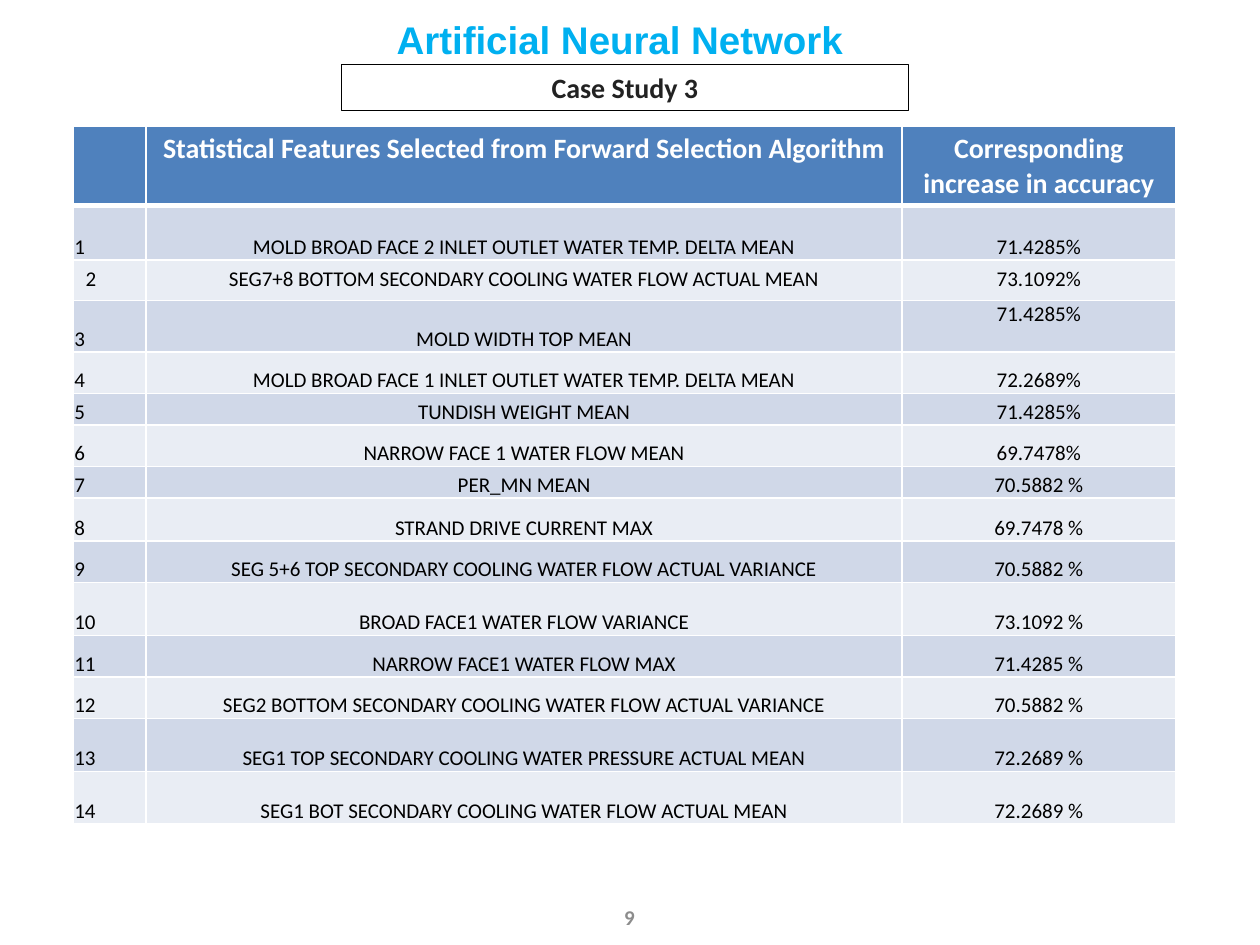
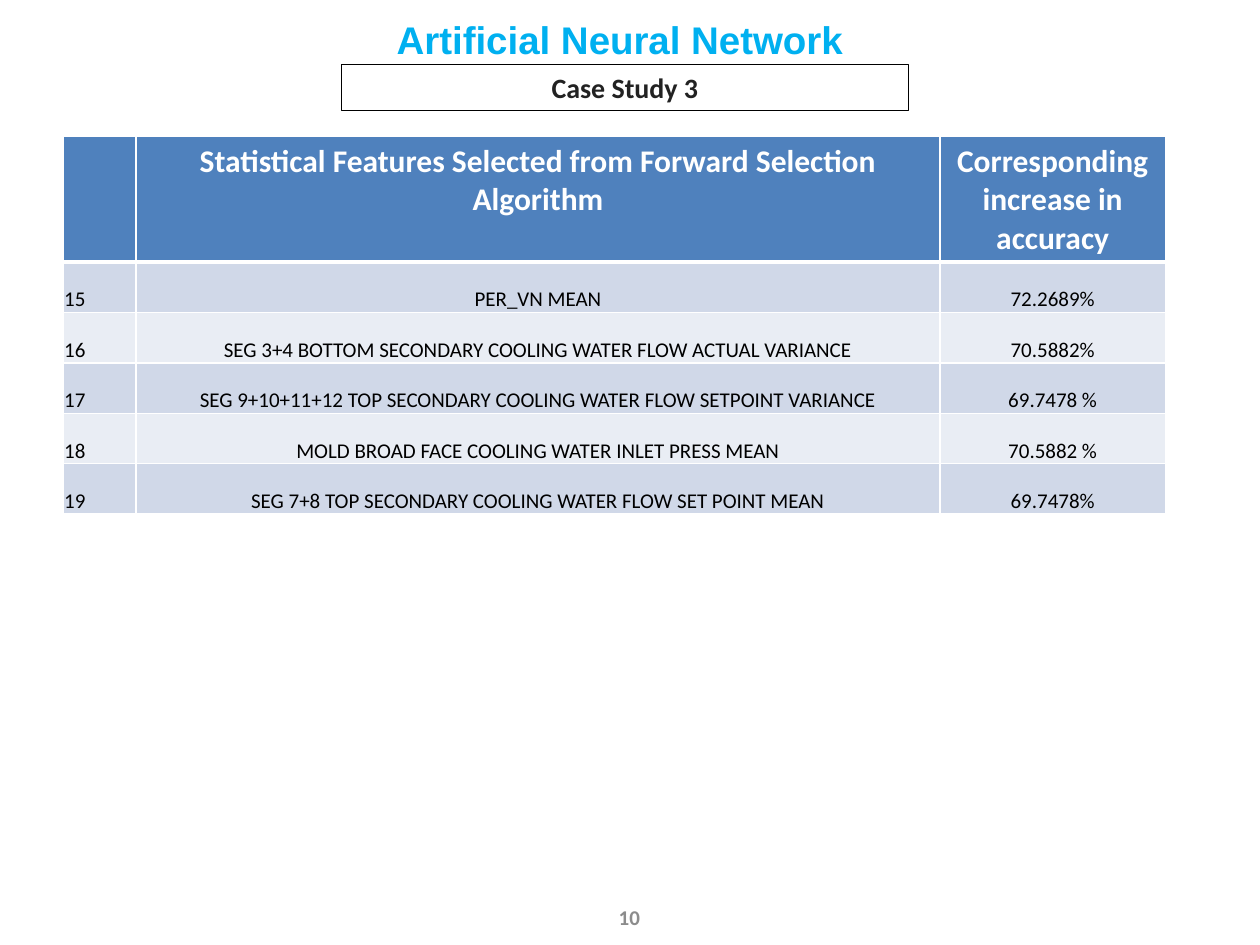
from dataclasses import dataclass

from lxml.etree import SubElement
from pptx import Presentation
from pptx.dml.color import RGBColor
from pptx.enum.shapes import MSO_SHAPE
from pptx.enum.text import MSO_ANCHOR, MSO_AUTO_SIZE, PP_ALIGN
from pptx.oxml.ns import qn
from pptx.util import Inches, Pt

TITLE = "Artificial Neural Network"
SUBTITLE = "Case Study 3"
HEADINGS = (
    "",
    "Statistical Features Selected from Forward Selection Algorithm",
    "Corresponding increase in accuracy",
)

PAGES = [
    {
        "number": 9,
        "first_feature": 1,
        "origin": (0.58, 1),
        "column_widths": (0.58, 6, 2.17),
        "heading_height": 0.58,
        "heading_size": 16,
        "padded_rows": {2},
        "top_values": {3},
        "features": [
            ("MOLD BROAD FACE 2 INLET OUTLET WATER TEMP. DELTA MEAN", "71.4285%", 0.43),
            ("SEG7+8 BOTTOM SECONDARY COOLING WATER FLOW ACTUAL MEAN", "73.1092%", 0.32),
            ("MOLD WIDTH TOP MEAN", "71.4285%", 0.41),
            ("MOLD BROAD FACE 1 INLET OUTLET WATER TEMP. DELTA MEAN", "72.2689%", 0.33),
            ("TUNDISH WEIGHT MEAN", "71.4285%", 0.25),
            ("NARROW FACE 1 WATER FLOW MEAN", "69.7478%", 0.33),
            ("PER_MN MEAN", "70.5882 %", 0.25),
            ("STRAND DRIVE CURRENT MAX", "69.7478 %", 0.34),
            ("SEG 5+6 TOP SECONDARY COOLING WATER FLOW ACTUAL VARIANCE", "70.5882 %", 0.33),
            ("BROAD FACE1 WATER FLOW VARIANCE", "73.1092 %", 0.42),
            ("NARROW FACE1 WATER FLOW MAX", "71.4285 %", 0.33),
            ("SEG2 BOTTOM SECONDARY COOLING WATER FLOW ACTUAL VARIANCE", "70.5882 %", 0.33),
            ("SEG1 TOP SECONDARY COOLING WATER PRESSURE ACTUAL MEAN", "72.2689 %", 0.42),
            ("SEG1 BOT SECONDARY COOLING WATER FLOW ACTUAL MEAN", "72.2689 %", 0.42),
        ],
    },
    {
        "number": 10,
        "first_feature": 15,
        "origin": (0.5, 1.08),
        "column_widths": (0.58, 6.38, 1.79),
        "heading_height": 0.96,
        "heading_size": 18,
        "padded_rows": set(),
        "top_values": set(),
        "features": [
            ("PER_VN MEAN", "72.2689%", 0.4),
            ("SEG 3+4 BOTTOM SECONDARY COOLING WATER FLOW ACTUAL VARIANCE", "70.5882%", 0.4),
            ("SEG 9+10+11+12 TOP SECONDARY COOLING WATER FLOW SETPOINT VARIANCE", "69.7478 %", 0.4),
            ("MOLD BROAD FACE COOLING WATER INLET PRESS MEAN", "70.5882 %", 0.4),
            ("SEG 7+8 TOP SECONDARY COOLING WATER FLOW SET POINT MEAN", "69.7478%", 0.4),
        ],
    },
]


@dataclass(frozen=True)
class Theme:
    title_font: str = "Arial"
    body_font: str = "Calibri"
    title: str = "00B0F0"
    subtitle: str = "222222"
    page_number: str = "8C8C8C"
    heading_fill: str = "4F81BD"
    band_fills: tuple = ("D0D8E8", "E9EDF4")
    white: str = "FFFFFF"
    black: str = "000000"
    title_size: int = 22
    subtitle_size: int = 16
    body_size: int = 12


THEME = Theme()


def color(value):
    return RGBColor.from_string(value)


def write(frame, text, size, ink, bold=True, align=PP_ALIGN.CENTER, font=THEME.body_font):
    paragraph = frame.paragraphs[0]
    paragraph.text = text
    paragraph.alignment = align
    paragraph.font.name = font
    paragraph.font.size = Pt(size)
    paragraph.font.bold = bold
    paragraph.font.color.rgb = color(ink)


def add_text_box(slide, box):
    frame = slide.shapes.add_textbox(*map(Inches, box)).text_frame
    frame.word_wrap = True
    return frame


def add_frame(slide, number):
    page_frame = add_text_box(slide, (4.65, 7.08, 0.69, 0.4))
    page_frame.vertical_anchor = MSO_ANCHOR.MIDDLE
    write(page_frame, str(number), THEME.body_size, THEME.page_number)

    title_frame = add_text_box(slide, (3.05, 0.08, 4.58, 0.27))
    title_frame.auto_size = MSO_AUTO_SIZE.SHAPE_TO_FIT_TEXT
    write(title_frame, TITLE, THEME.title_size, THEME.title,
          align=PP_ALIGN.LEFT, font=THEME.title_font)

    shape = slide.shapes.add_shape(
        MSO_SHAPE.RECTANGLE, *map(Inches, (2.71, 0.51, 4.5, 0.37)))
    shape.shadow.inherit = False
    shape.fill.background()
    shape.line.color.rgb = color(THEME.black)
    shape.line.width = Pt(0.75)
    shape.text_frame.word_wrap = True
    shape.text_frame.vertical_anchor = MSO_ANCHOR.TOP
    shape.text_frame.auto_size = MSO_AUTO_SIZE.SHAPE_TO_FIT_TEXT
    write(shape.text_frame, SUBTITLE, THEME.subtitle_size, THEME.subtitle)


def paint_cell(cell, fill, top_width=1, bottom_width=1):
    properties = cell._tc.get_or_add_tcPr()
    for side, width in (("L", 1), ("R", 1), ("T", top_width), ("B", bottom_width)):
        line = SubElement(properties, qn(f"a:ln{side}"), w=str(Pt(width)))
        solid = SubElement(line, qn("a:solidFill"))
        SubElement(solid, qn("a:srgbClr"), val=THEME.white)
    cell.fill.solid()
    cell.fill.fore_color.rgb = color(fill)


def add_feature_table(slide, page):
    features = page["features"]
    widths = page["column_widths"]
    heights = [page["heading_height"]] + [height for _, _, height in features]
    table = slide.shapes.add_table(
        len(heights), len(widths), *map(Inches, page["origin"]),
        Inches(sum(widths)), Inches(sum(heights))).table
    for column, width in zip(table.columns, widths):
        column.width = Inches(width)
    for row, height in zip(table.rows, heights):
        row.height = Inches(height)

    for column, heading in enumerate(HEADINGS):
        cell = table.cell(0, column)
        paint_cell(cell, THEME.heading_fill, bottom_width=3)
        write(cell.text_frame, heading, page["heading_size"], THEME.white)

    for row, (feature, accuracy, _) in enumerate(features, 1):
        feature_number = str(page["first_feature"] + row - 1)
        for column, text in enumerate((feature_number, feature, accuracy)):
            cell = table.cell(row, column)
            paint_cell(cell, THEME.band_fills[(row - 1) % 2], top_width=3 if row == 1 else 1)
            if row not in page["padded_rows"]:
                cell.margin_left = cell.margin_right = cell.margin_top = Inches(0.01)
                cell.margin_bottom = 0
                at_top = column == 2 and row in page["top_values"]
                cell.vertical_anchor = MSO_ANCHOR.TOP if at_top else MSO_ANCHOR.BOTTOM
            write(cell.text_frame, text, THEME.body_size, THEME.black, bold=False,
                  align=PP_ALIGN.CENTER if column else PP_ALIGN.LEFT)


def main():
    presentation = Presentation()
    presentation.slide_width = Inches(10)
    presentation.slide_height = Inches(7.5)
    for page in PAGES:
        slide = presentation.slides.add_slide(presentation.slide_layouts[6])
        add_frame(slide, page["number"])
        add_feature_table(slide, page)
    presentation.save("out.pptx")


if __name__ == "__main__":
    main()
